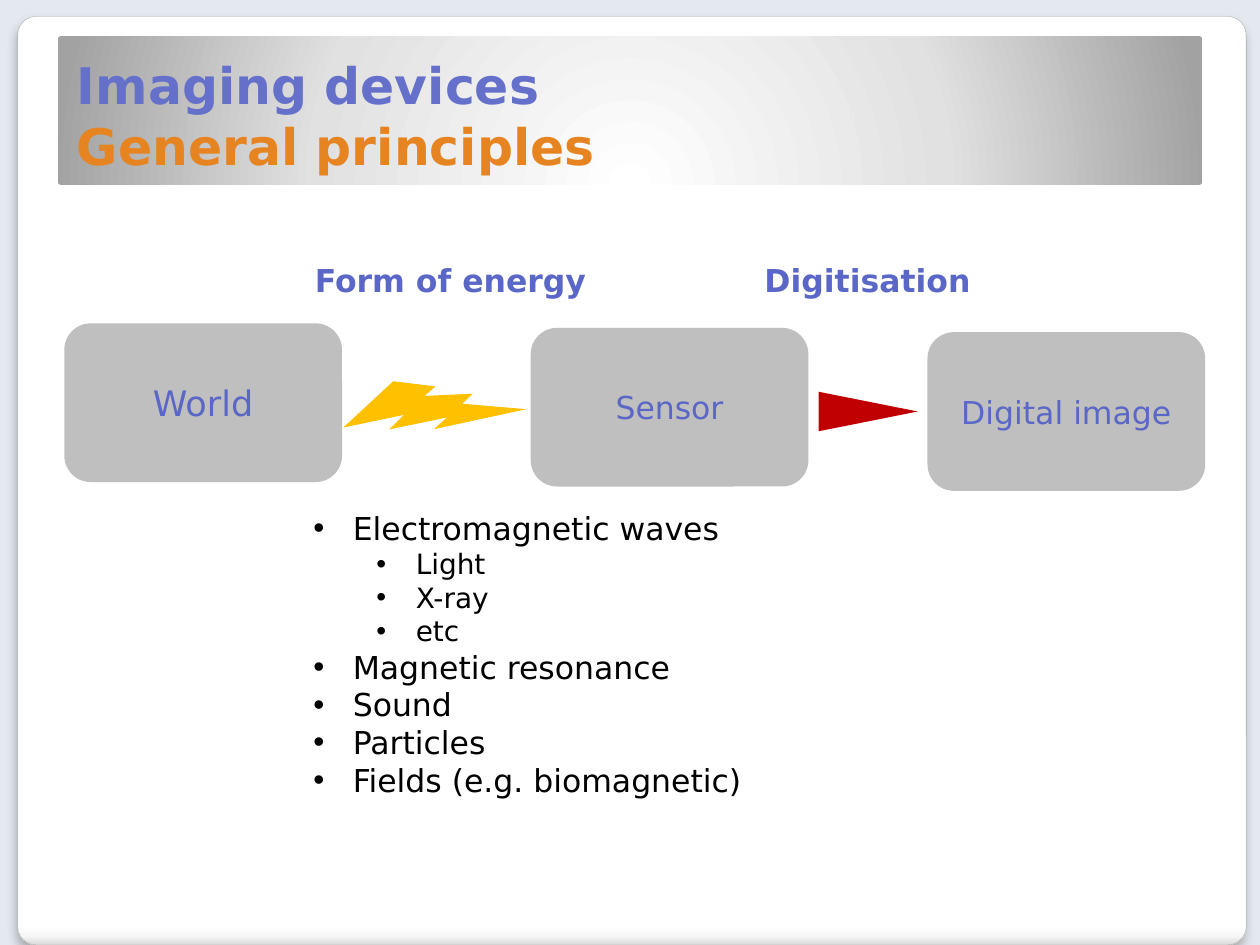
import dataclasses
import typing

import pptx
import pptx.dml.color
import pptx.enum.shapes
import pptx.enum.text
import pptx.oxml.ns
import pptx.util
from lxml import etree

Pt = pptx.util.Pt
qn = pptx.oxml.ns.qn
Shapes = pptx.enum.shapes.MSO_SHAPE
Align = pptx.enum.text.PP_ALIGN
Anchor = pptx.enum.text.MSO_ANCHOR

FONT = "DejaVu Sans"
BLUE, TITLE_BLUE, ORANGE = "5A67C6", "6470CA", "E68422"
GREY, GOLD, RED = "BFBFBF", "FFC000", "C00000"


@dataclasses.dataclass
class Box:
    left: float
    top: float
    width: float
    height: float

    def lengths(self) -> list:
        return [Pt(value) for value in (self.left, self.top, self.width, self.height)]


@dataclasses.dataclass
class Stage:
    text: str
    left: float
    top: float
    size: float = 18


@dataclasses.dataclass
class Label:
    text: str
    box: Box


@dataclasses.dataclass
class Item:
    text: str
    level: int = 0


STAGES = [
    Stage("World", 36.75, 184.8, 20),
    Stage("Sensor", 303.25, 187.35),
    Stage("Digital image", 530, 189.8),
]
LABELS = [
    Label("Form of energy", Box(172.8, 145.4, 170.6, 29)),
    Label("Digitisation", Box(429.8, 145.4, 132.5, 29)),
]
ITEMS = [
    Item("Electromagnetic waves"),
    Item("Light", 1),
    Item("X-ray", 1),
    Item("etc", 1),
    Item("Magnetic resonance"),
    Item("Sound"),
    Item("Particles"),
    Item("Fields (e.g. biomagnetic)"),
]


def rgb(color: str) -> pptx.dml.color.RGBColor:
    return pptx.dml.color.RGBColor.from_string(color)


def add_text(paragraph, text: str, *, size: float = 18, color: str = BLUE,
             bold: bool = False, align=Align.LEFT) -> None:
    paragraph.alignment = align
    run = paragraph.add_run()
    run.text = text
    run.font.name, run.font.size, run.font.bold = FONT, Pt(size), bold
    run.font.color.rgb = rgb(color)


def add_shape(slide, kind, box: Box, color: typing.Optional[str] = None,
              rotation: float = 0):
    shape = slide.shapes.add_shape(kind, *box.lengths())
    shape.shadow.inherit = False
    shape.line.fill.background()
    shape.rotation = rotation
    if color:
        shape.fill.solid()
        shape.fill.fore_color.rgb = rgb(color)
    return shape


def add_text_box(slide, box: Box):
    text_frame = slide.shapes.add_textbox(*box.lengths()).text_frame
    text_frame.word_wrap = False
    text_frame.auto_size = pptx.enum.text.MSO_AUTO_SIZE.SHAPE_TO_FIT_TEXT
    return text_frame


def add_color(parent, color: str):
    return etree.SubElement(parent, qn("a:srgbClr"), val=color)


def set_gradient(shape, stops: dict[int, str], center: typing.Optional[dict] = None) -> None:
    """Fill from top to bottom, or in circles around the given rectangle."""
    shape.fill.gradient()
    gradient = shape._element.spPr.find(qn("a:gradFill"))
    for child in list(gradient):
        gradient.remove(child)
    stop_list = etree.SubElement(gradient, qn("a:gsLst"))
    for position, color in stops.items():
        add_color(etree.SubElement(stop_list, qn("a:gs"), pos=str(position * 1000)), color)
    if center:
        circle = etree.SubElement(gradient, qn("a:path"), path="circle")
        etree.SubElement(circle, qn("a:fillToRect"),
                         {side: str(value * 1000) for side, value in center.items()})
    else:
        etree.SubElement(gradient, qn("a:lin"), ang="5400000", scaled="0")


def add_shadow(shape, color: str, opacity: int, blur: float, distance: float) -> None:
    effects = shape._element.spPr.find(qn("a:effectLst"))
    shadow = etree.SubElement(effects, qn("a:outerShdw"), blurRad=str(Pt(blur)),
                              dist=str(Pt(distance)), dir="5400000",
                              algn="t", rotWithShape="0")
    etree.SubElement(add_color(shadow, color), qn("a:alpha"), val=str(opacity * 1000))


def add_panels(slide) -> None:
    page = add_shape(slide, Shapes.ROUNDED_RECTANGLE, Box(10.1, 9.4, 702, 530.6))
    set_gradient(page, {0: "FFFFFF", 98: "FFFFFF", 99: "F7F7F7", 100: "DADADA"})
    page.line.color.rgb = rgb("A4A4A4")
    page.line.width = Pt(0.16)
    add_shadow(page, "000000", 25, 6, 4)
    banner = add_shape(slide, Shapes.ROUNDED_RECTANGLE, Box(33.1, 20.6, 653.8, 85))
    set_gradient(banner, {0: "FFFFFF", 55: "E1E1E1", 100: "A2A2A2"},
                 {"l": 50, "t": 175, "r": 50, "b": -75})
    for panel in (page, banner):
        panel.adjustments[0] = 0.02


def set_title(slide) -> None:
    title = slide.shapes.title
    title.left, title.top, title.width, title.height = Box(36.7, 20.9, 644.4, 82.8).lengths()
    slide.shapes._spTree.append(title._element)  # in front of the panels
    text_frame = title.text_frame
    text_frame.vertical_anchor = Anchor.BOTTOM
    text_frame.auto_size = pptx.enum.text.MSO_AUTO_SIZE.NONE
    paragraph = text_frame.paragraphs[0]
    add_text(paragraph, "Imaging devices", size=28.8, color=TITLE_BLUE, bold=True)
    paragraph.add_line_break()
    add_text(paragraph, "General principles", size=28.8, color=ORANGE, bold=True)


def add_stage(slide, stage: Stage) -> None:
    box = Box(stage.left, stage.top, 158.7, 90.7)
    text_frame = add_shape(slide, Shapes.ROUNDED_RECTANGLE, box, GREY).text_frame
    text_frame.vertical_anchor = Anchor.MIDDLE
    add_text(text_frame.paragraphs[0], stage.text, size=stage.size, align=Align.CENTER)


def add_list(slide, box: Box, items: list[Item]) -> None:
    text_frame = add_text_box(slide, box)
    for index, item in enumerate(items):
        paragraph = text_frame.add_paragraph() if index else text_frame.paragraphs[0]
        paragraph.level = item.level
        properties = paragraph._p.get_or_add_pPr()
        properties.set("marL", str(Pt(22.5 + 36 * item.level)))
        properties.set("indent", str(Pt(-22.5)))
        etree.SubElement(properties, qn("a:buFont"), typeface="Arial")
        etree.SubElement(properties, qn("a:buChar"), char="•")
        add_text(paragraph, item.text, size=18 - 2 * item.level, color="000000")


def main() -> None:
    presentation = pptx.Presentation()
    presentation.slide_width, presentation.slide_height = Pt(720), Pt(540)
    slide = presentation.slides.add_slide(presentation.slide_layouts[5])
    slide.background.fill.solid()
    slide.background.fill.fore_color.rgb = rgb("E4E9EF")

    # Frame and title
    add_panels(slide)
    set_title(slide)

    # Chain from world to digital image
    for stage in STAGES:
        add_stage(slide, stage)
    add_shape(slide, Shapes.LIGHTNING_BOLT, Box(198, 209.5, 96.5, 51.1), GOLD, 330.8)
    add_shape(slide, Shapes.ISOSCELES_TRIANGLE, Box(484.8, 206.8, 22.6, 56.7), RED, 90)
    for label in LABELS:
        add_text(add_text_box(slide, label.box).paragraphs[0], label.text, bold=True)

    # Forms of energy
    add_list(slide, Box(172, 287.3, 265.7, 174.2), ITEMS)
    presentation.save("out.pptx")


if __name__ == "__main__":
    main()
